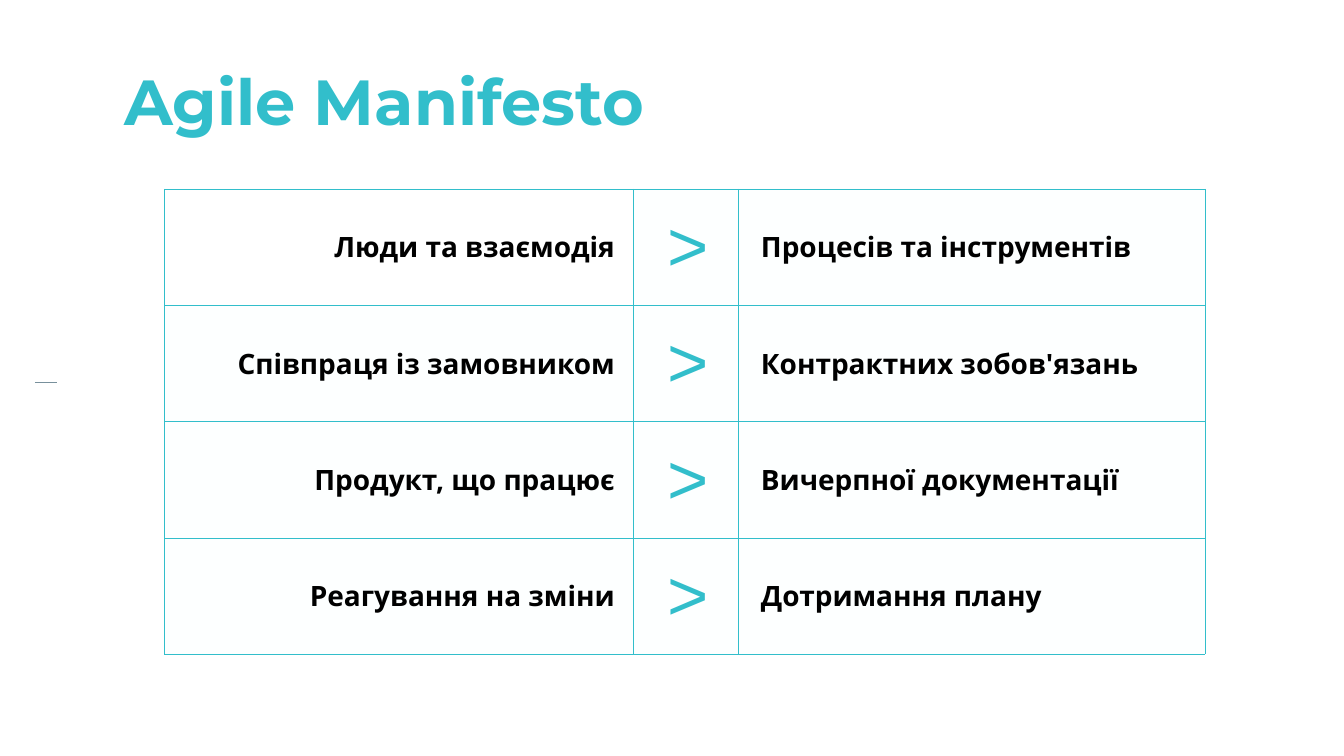
from dataclasses import dataclass

from lxml import etree
from pptx import Presentation
from pptx import util as u
from pptx.dml.color import RGBColor
from pptx.enum import shapes, text
from pptx.oxml import ns

TITLE = "Agile Manifesto"
VALUES = [
    ("Люди та взаємодія", "Процесів та інструментів"),
    ("Співпраця із замовником", "Контрактних зобов'язань"),
    ("Продукт, що працює", "Вичерпної документації"),
    ("Реагування на зміни", "Дотримання плану"),
]
SIGN = ">"


@dataclass(frozen=True)
class Theme:
    accent: str = "32BECB"
    ink: str = "000000"
    dash: str = "78909C"
    paper: str = "FFFFFF"
    tint: str = "FDFFFF"
    title_size: int = 91
    sign_size: int = 101
    body_size: int = 40
    border: float = 0.75


THEME = Theme()
SCALE = 9144  # EMU per px, 100 px to the inch
SLIDE_SIZE = (2667, 1500)
TITLE_BOX = (247, 112, 1196, 191)
TABLE_LEFT, TABLE_TOP = 326, 375
COLUMN_WIDTHS = (931, 208, 926)
ROW_HEIGHT = 168
CELL_INSETS = (45, 37, 37, 37)
DASH_ENDS = (69, 759, 113, 759)


def px(*lengths):
    return [u.Emu(length * SCALE) for length in lengths]


def write(frame, content, *, size, font, color, bold=False,
          align=text.PP_ALIGN.LEFT, line_spacing=None):
    paragraph = frame.paragraphs[0]
    paragraph.alignment = align
    paragraph.line_spacing = line_spacing
    run = paragraph.add_run()
    run.text = content
    run.font.size = u.Pt(size)
    run.font.name = font
    run.font.bold = bold
    run.font.color.rgb = RGBColor.from_string(color)


def set_insets(target, insets):
    (target.margin_left, target.margin_top,
     target.margin_right, target.margin_bottom) = px(*insets)


def add_borders(cell):
    properties = cell._tc.get_or_add_tcPr()
    for side in ("lnL", "lnR", "lnT", "lnB"):
        line = etree.SubElement(properties, ns.qn(f"a:{side}"),
                                w=str(u.Pt(THEME.border)))
        fill = etree.SubElement(line, ns.qn("a:solidFill"))
        etree.SubElement(fill, ns.qn("a:srgbClr"), val=THEME.accent)


def add_title(slide):
    frame = slide.shapes.add_textbox(*px(*TITLE_BOX)).text_frame
    frame.word_wrap = True
    frame.vertical_anchor = text.MSO_ANCHOR.MIDDLE
    set_insets(frame, (0, 10, 20, 10))
    write(frame, TITLE, size=THEME.title_size, font="Montserrat",
          color=THEME.accent, bold=True, line_spacing=0.9)


def add_values_table(slide):
    box = (TABLE_LEFT, TABLE_TOP, sum(COLUMN_WIDTHS), ROW_HEIGHT * len(VALUES))
    table = slide.shapes.add_table(len(VALUES), len(COLUMN_WIDTHS), *px(*box)).table
    table.first_row = table.horz_banding = False
    for column, width in zip(table.columns, px(*COLUMN_WIDTHS)):
        column.width = width

    body = dict(size=THEME.body_size, font="Open Sans", color=THEME.ink, bold=True)
    sign = dict(size=THEME.sign_size, font="Arial", color=THEME.accent)
    formats = (
        dict(body, align=text.PP_ALIGN.RIGHT),
        dict(sign, align=text.PP_ALIGN.CENTER),
        body,
    )
    for i, (preferred, other) in enumerate(VALUES):
        for j, content in enumerate((preferred, SIGN, other)):
            cell = table.cell(i, j)
            add_borders(cell)
            cell.fill.solid()
            cell.fill.fore_color.rgb = RGBColor.from_string(
                THEME.paper if i == j == 0 else THEME.tint)
            cell.vertical_anchor = text.MSO_ANCHOR.MIDDLE
            set_insets(cell, CELL_INSETS)
            write(cell.text_frame, content, **formats[j])


def add_dash(slide):
    dash = slide.shapes.add_connector(shapes.MSO_CONNECTOR.STRAIGHT, *px(*DASH_ENDS))
    dash.line.color.rgb = RGBColor.from_string(THEME.dash)
    dash.line.width = u.Pt(1.5)
    etree.SubElement(dash._element.spPr, ns.qn("a:effectLst"))


def main():
    presentation = Presentation()
    presentation.slide_width, presentation.slide_height = px(*SLIDE_SIZE)
    slide = presentation.slides.add_slide(presentation.slide_layouts[6])
    slide.background.fill.solid()
    slide.background.fill.fore_color.rgb = RGBColor.from_string(THEME.paper)
    add_values_table(slide)
    add_dash(slide)
    add_title(slide)
    presentation.save("out.pptx")


if __name__ == "__main__":
    main()
